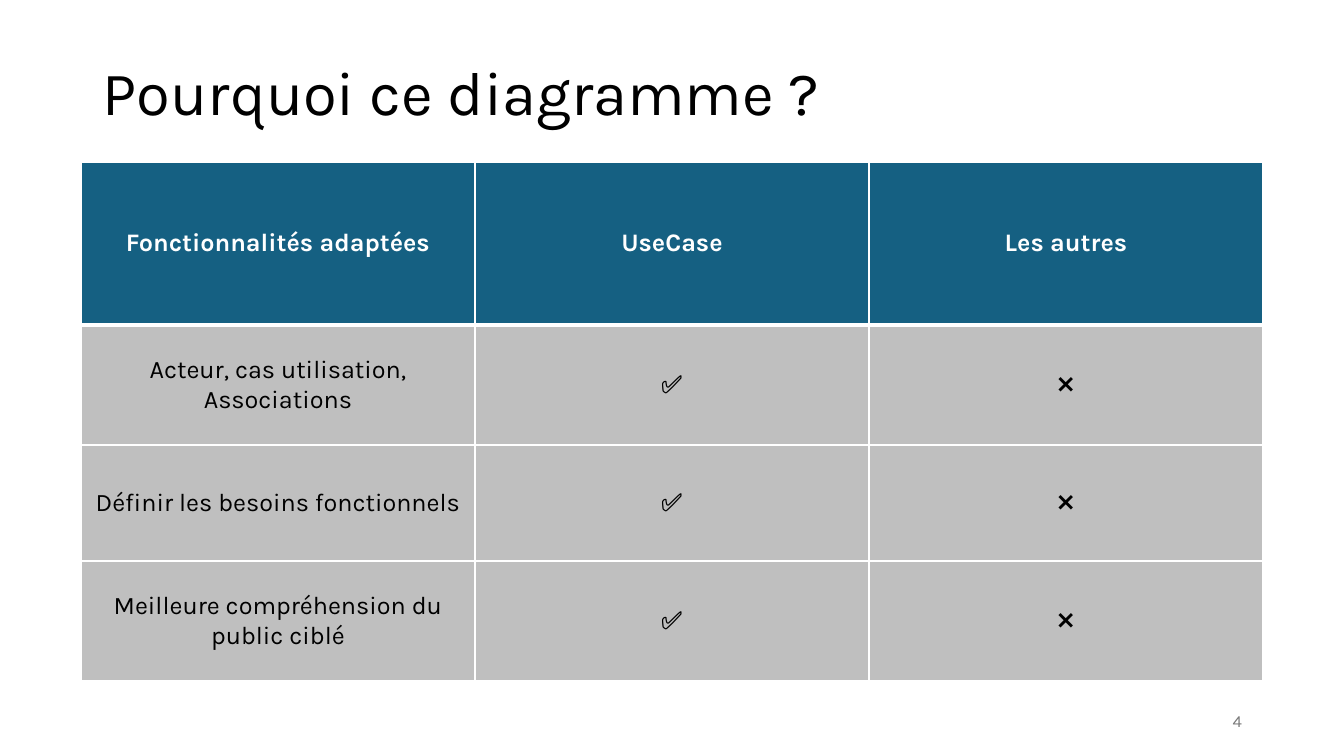
from lxml.etree import SubElement
from pptx import Presentation
from pptx.dml.color import RGBColor
from pptx.enum.text import MSO_ANCHOR as Anchor, PP_ALIGN as Align
from pptx.oxml.ns import qn
from pptx.util import Pt

TITLE = "Pourquoi ce diagramme ?"
PAGE_NUMBER = "4"
ROWS = [
    ("Fonctionnalités adaptées", "UseCase", "Les autres"),
    ("Acteur, cas utilisation, Associations", "✅", "❌"),
    ("Définir les besoins fonctionnels", "✅", "❌"),
    ("Meilleure compréhension du public ciblé", "✅", "❌"),
]
ROW_HEIGHTS = [163, 120, 116, 120]
COLUMN_WIDTH = 394
TABLE_LEFT, TABLE_TOP = 81, 162

FONT = "Karla"
BLACK = RGBColor(0x00, 0x00, 0x00)
WHITE = RGBColor(0xFF, 0xFF, 0xFF)
BLUE = RGBColor(0x15, 0x60, 0x82)
SILVER = RGBColor(0xBF, 0xBF, 0xBF)
GRAY = RGBColor(0x79, 0x79, 0x79)


def px(length):
    return round(length * 914400 / 100.8)


def style(para, size, color, align, bold=False):
    para.alignment = align
    for span in para.runs:
        span.font.name = FONT
        span.font.size = Pt(size)
        span.font.bold = bold
        span.font.color.rgb = color


def add_text(page, place, text, size, color, align):
    box = page.shapes.add_textbox(*map(px, place))
    frame = box.text_frame
    frame.word_wrap = True
    frame.vertical_anchor = Anchor.MIDDLE
    frame.text = text
    style(frame.paragraphs[0], size, color, align)
    return frame.paragraphs[0]


def add_borders(cell, widths):
    properties = cell._tc.get_or_add_tcPr()
    for index, (side, width) in enumerate(widths.items()):
        line = SubElement(properties, qn(f"a:ln{side}"), w=str(Pt(width)))
        fill = SubElement(line, qn("a:solidFill"))
        SubElement(fill, qn("a:srgbClr"), val=str(WHITE))
        properties.insert(index, line)


def add_comparison(page):
    columns = len(ROWS[0])
    frame = page.shapes.add_table(
        len(ROWS), columns, px(TABLE_LEFT), px(TABLE_TOP),
        px(COLUMN_WIDTH * columns), px(sum(ROW_HEIGHTS)))
    table = frame.table
    for column in table.columns:
        column.width = px(COLUMN_WIDTH)
    for row_index, (labels, height) in enumerate(zip(ROWS, ROW_HEIGHTS)):
        table.rows[row_index].height = px(height)
        header = row_index == 0
        for column_index, label in enumerate(labels):
            cell = table.cell(row_index, column_index)
            cell.text = label
            cell.vertical_anchor = Anchor.MIDDLE
            cell.fill.solid()
            cell.fill.fore_color.rgb = BLUE if header else SILVER
            style(cell.text_frame.paragraphs[0], 18,
                  WHITE if header else BLACK, Align.CENTER, header)
            add_borders(cell, {"L": 1, "R": 1,
                               "T": 3 if row_index == 1 else 1,
                               "B": 3 if header else 1})


def main():
    deck = Presentation()
    deck.slide_width, deck.slide_height = px(1344), px(756)
    page = deck.slides.add_slide(deck.slide_layouts[6])
    title = add_text(page, (93, 40, 1159, 112), TITLE, 44, BLACK, Align.LEFT)
    title.line_spacing = 0.9
    add_comparison(page)
    add_text(page, (950, 701, 302, 40), PAGE_NUMBER, 12, GRAY, Align.RIGHT)
    deck.save("out.pptx")


if __name__ == "__main__":
    main()
